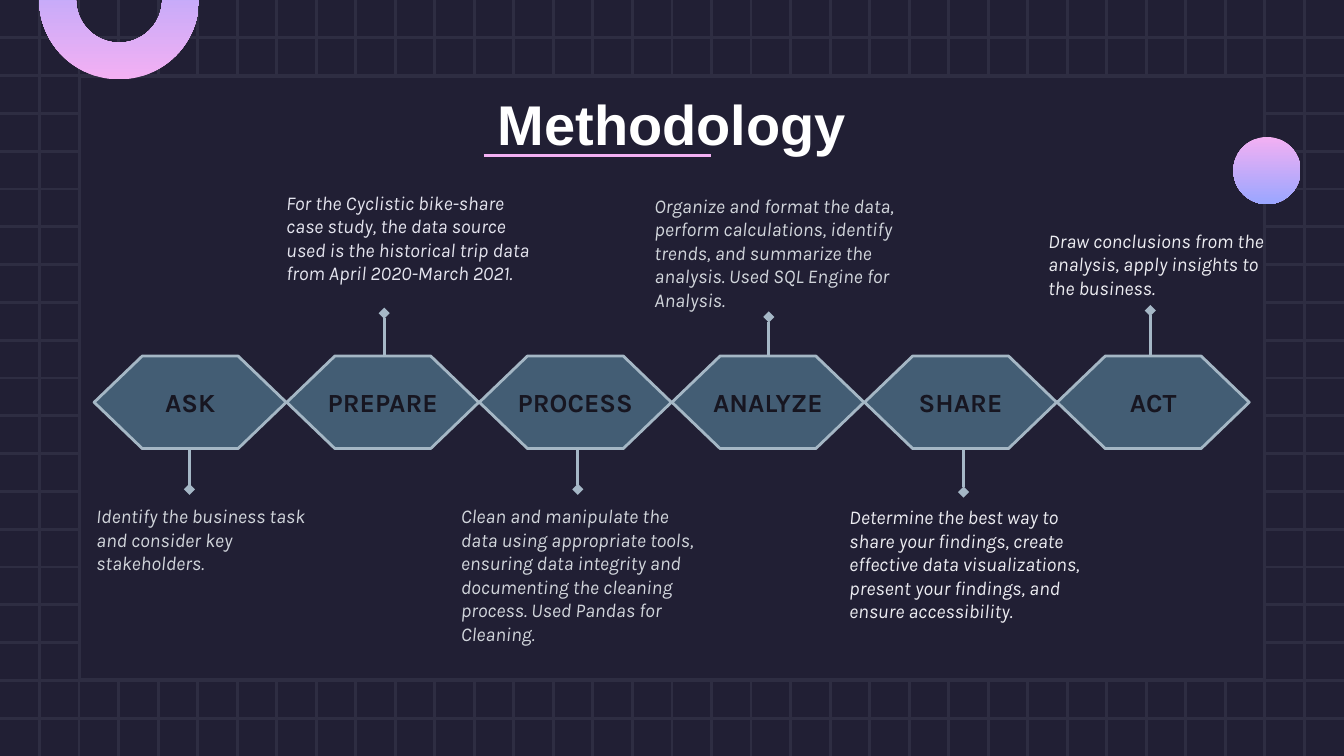
from lxml import etree
from pptx import Presentation
from pptx.dml.color import RGBColor
from pptx.enum.shapes import MSO_CONNECTOR, MSO_SHAPE
from pptx.enum.text import MSO_ANCHOR, PP_ALIGN
from pptx.oxml.ns import qn
from pptx.util import Cm, Pt

LINE = MSO_CONNECTOR.STRAIGHT
RECT, OVAL, ARC = MSO_SHAPE.RECTANGLE, MSO_SHAPE.OVAL, MSO_SHAPE.BLOCK_ARC
TOP, MID = MSO_ANCHOR.TOP, MSO_ANCHOR.MIDDLE
LEFT, CENTER = PP_ALIGN.LEFT, PP_ALIGN.CENTER

COLORS = {
    "back": "211F34", "grid": "2E2D42", "pink": "F3B0F3", "blue": "9AA6FF",
    "white": "FFFFFF", "hex": "435D74", "edge": "A5B7C5", "stem": "A5B7C6",
    "ink": "171621", "gray": "D1D5DB", "mist": "E4E4EE", "pale": "ECECF1",
}

# Slide and hexagon sizes in cm
WIDE, HIGH = 25.4, 14.29
HEX_X, HEX_Y, HEX_W, HEX_H, CUT, PITCH = 1.78, 6.73, 3.63, 1.75, 0.91, 3.64
STEM = 0.84

# Label, stem x, stem tip y, note box (left, top, width, height), colour, note
STEPS = [
    ("ASK", 3.58, 9.25, (1.57, 9.4, 4.65, 1.6), "gray",
     "Identify the business task and consider key stakeholders."),
    ("PREPARE", 7.26, 5.92, (5.16, 3.48, 5.11, 2.49), "mist",
     "For the Cyclistic bike-share case study, the data source used is the "
     "historical trip data from April 2020-March 2021."),
    ("PROCESS", 10.92, 9.25, (8.46, 9.4, 5.11, 2.95), "gray",
     "Clean and manipulate the data using appropriate tools, ensuring data "
     "integrity and documenting the cleaning process. Used Pandas for "
     "Cleaning."),
    ("ANALYZE", 14.53, 5.99, (12.12, 3.53, 5.26, 2.49), "gray",
     "Organize and format the data, perform calculations, identify trends, "
     "and summarize the analysis. Used SQL Engine for Analysis."),
    ("SHARE", 18.21, 9.3, (15.8, 9.42, 5.26, 2.95), "pale",
     "Determine the best way to share your findings, create effective data "
     "visualizations, present your findings, and ensure accessibility."),
    ("ACT", 21.74, 5.87, (19.56, 4.19, 4.65, 1.6), "pale",
     "Draw conclusions from the analysis, apply insights to the business."),
]


def rgb(name):
    return RGBColor.from_string(COLORS[name])


def put_text(shape, text, size=10.5, font="Karla", color="ink", bold=False,
             italic=False, align=LEFT, anchor=TOP, pad=0.25):
    frame = shape.text_frame
    frame.word_wrap = True
    frame.vertical_anchor = anchor
    frame.margin_left = frame.margin_right = Cm(0.25)
    frame.margin_top = frame.margin_bottom = Cm(pad)
    para = frame.paragraphs[0]
    para.alignment = align
    run = para.add_run()
    run.text = text
    run.font.size, run.font.name = Pt(size), font
    run.font.bold, run.font.italic = bold, italic
    run.font.color.rgb = rgb(color)


def add_text(slide, box, text, **form):
    put_text(slide.shapes.add_textbox(*map(Cm, box)), text, **form)


def add_line(slide, x1, y1, x2, y2, color, tip=None):
    line = slide.shapes.add_connector(LINE, Cm(x1), Cm(y1), Cm(x2), Cm(y2))
    line.line.color.rgb = rgb(color)
    line.line.width = Pt(1.5)
    props = line._element.spPr
    if tip:
        etree.SubElement(props.find(qn("a:ln")), qn("a:tailEnd"), type=tip)
    etree.SubElement(props, qn("a:effectLst"))


def paint(shape, fill, edge):
    shape.shadow.inherit = False
    shape.fill.solid()
    shape.fill.fore_color.rgb = rgb(fill)
    shape.line.color.rgb = rgb(edge)
    shape.line.width = Pt(1.5)


def add_glow(slide, kind, x, y, size):
    shape = slide.shapes.add_shape(kind, Cm(x), Cm(y), Cm(size), Cm(size))
    shape.shadow.inherit = False
    shape.line.fill.background()
    shape.fill.gradient()
    shape.fill.gradient_angle = 270
    for stop, name in zip(shape.fill.gradient_stops, ("pink", "blue")):
        stop.color.rgb = rgb(name)
    return shape


def add_hex(slide, x, label):
    mid, low, right = HEX_Y + HEX_H / 2, HEX_Y + HEX_H, x + HEX_W
    dots = [(x + CUT, HEX_Y), (x, mid), (x + CUT, low),
            (right - CUT, low), (right, mid), (right - CUT, HEX_Y)]
    dots = [(Cm(a), Cm(b)) for a, b in dots]
    form = slide.shapes.build_freeform(*dots[0])
    form.add_line_segments(dots[1:], close=True)
    shape = form.convert_to_shape()
    paint(shape, "hex", "edge")
    put_text(shape, label, size=14, bold=True, align=CENTER, anchor=MID)


def add_grid(slide, rows=20, cols=34):
    for i in range(1, rows):
        y = i * HIGH / rows
        add_line(slide, 0, y, WIDE, y, "grid")
    for i in range(1, cols):
        x = i * WIDE / cols
        add_line(slide, x, 0, x, HIGH, "grid")


def add_step(slide, i, label, x, tip, box, color, note):
    start = tip - STEM if tip > HEX_Y else tip + STEM
    add_line(slide, x, start, x, tip, "stem", tip="diamond")
    add_hex(slide, HEX_X + i * PITCH, label)
    add_text(slide, box, note, color=color, italic=True, pad=0.13)


def main():
    deck = Presentation()
    deck.slide_width, deck.slide_height = Cm(WIDE), Cm(HIGH)
    slide = deck.slides.add_slide(deck.slide_layouts[6])

    # Backdrop: grid and panel
    slide.background.fill.solid()
    slide.background.fill.fore_color.rgb = rgb("back")
    add_grid(slide)
    panel = slide.shapes.add_shape(RECT, Cm(1.5), Cm(1.44), Cm(22.4), Cm(11.4))
    paint(panel, "back", "grid")

    # Title and ornaments
    add_text(slide, (2, 1.44, 21.4, 1.6), "Methodology", size=30,
             font="Arial", color="white", bold=True, align=CENTER)
    add_glow(slide, OVAL, 23.31, 2.59, 1.27)
    ring = add_glow(slide, ARC, 0.74, -1.52, 3.02)
    ring.rotation = 180
    for i, value in enumerate((108, 0.36, 0.23)):
        ring.adjustments[i] = value

    # Process chain
    for i, step in enumerate(STEPS):
        add_step(slide, i, *step)

    # Title underline
    add_line(slide, 9.14, 2.94, 13.44, 2.94, "pink")

    deck.save("out.pptx")


if __name__ == "__main__":
    main()
